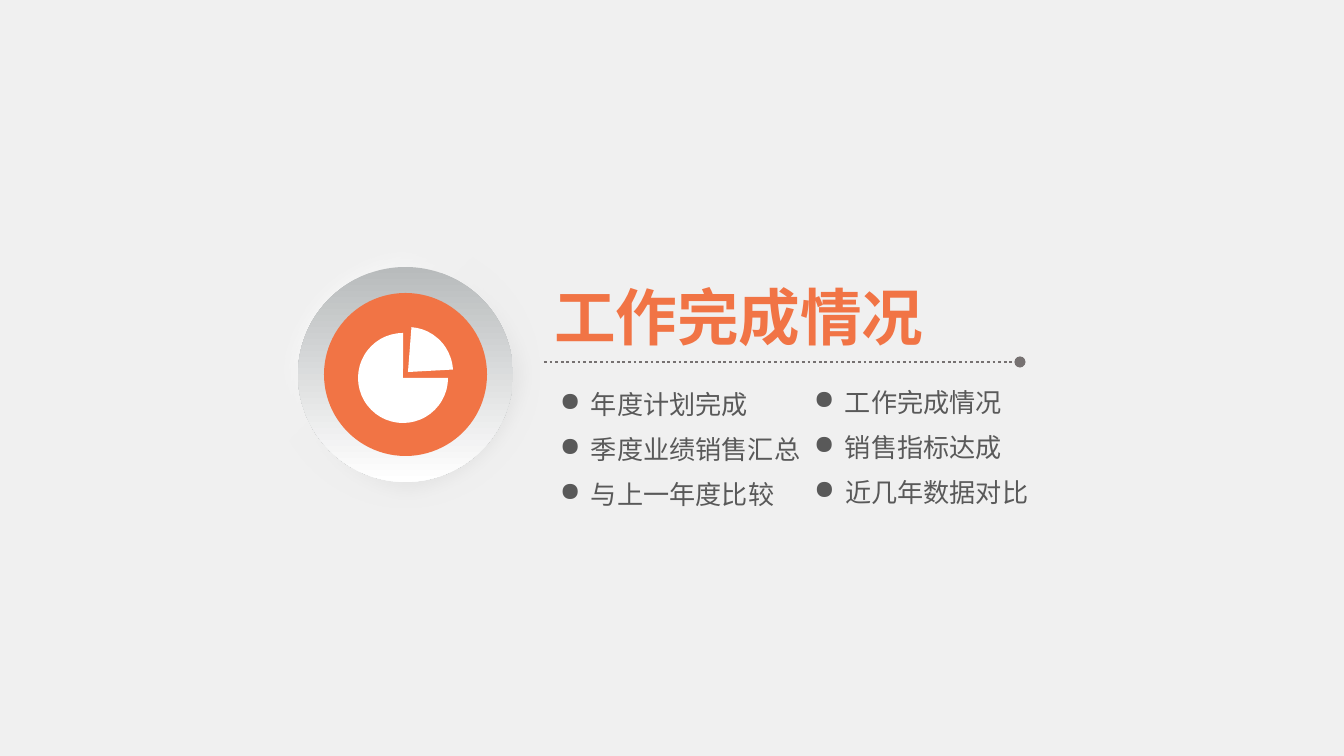
"""Build a section slide with a pie emblem, a title and two columns of bullet points."""
from lxml import etree
from pptx import Presentation
from pptx.dml.color import RGBColor
from pptx.enum.dml import MSO_LINE
from pptx.enum.shapes import MSO_CONNECTOR, MSO_SHAPE
from pptx.enum.text import MSO_ANCHOR, MSO_AUTO_SIZE, PP_ALIGN
from pptx.oxml import parse_xml
from pptx.oxml.ns import nsdecls, qn
from pptx.util import Pt

OVAL, ROUNDED, PIE = MSO_SHAPE.OVAL, MSO_SHAPE.ROUNDED_RECTANGLE, MSO_SHAPE.PIE
STRAIGHT, DOTTED = MSO_CONNECTOR.STRAIGHT, MSO_LINE.ROUND_DOT
TOP, LEFT, GROW = MSO_ANCHOR.TOP, PP_ALIGN.LEFT, MSO_AUTO_SIZE.SHAPE_TO_FIT_TEXT

BACKGROUND = RGBColor(0xF0, 0xF0, 0xF0)
ORANGE = RGBColor(0xF1, 0x74, 0x45)
WHITE = RGBColor(0xFF, 0xFF, 0xFF)
HALO_GRAY = RGBColor(0xD9, 0xD9, 0xD9)
RING_GRAY = RGBColor(0xB8, 0xBB, 0xBC)
RULE_GRAY = RGBColor(0x76, 0x71, 0x71)
TEXT_GRAY = RGBColor(0x59, 0x59, 0x59)
FONT = "Noto Sans CJK SC"

TITLE = "工作完成情况"
TITLE_BOX = (544, 274, 394, 85)
RULE = (544, 362, 1020, 362)
COLUMNS = [
    (550, 383, ["年度计划完成", "季度业绩销售汇总", "与上一年度比较"]),
    (804, 381, ["工作完成情况", "销售指标达成", "近几年数据对比"]),
]
ROW_PITCH, ROW_HEIGHT = 45, 42
CHAR_WIDTH, ROW_EXTRA = 26, 55
EMBLEM_CENTER = (405, 374)
HALO_SIZE, RING_SIZE, DISC_SIZE, PIE_SIZE = 270, 215, 163, 90
PIE_CENTER, WEDGE_CENTER = (403, 378), (408, 372)
EMU_PER_PX = 9144000 / 1344


def px(*lengths):
    return [round(length * EMU_PER_PX) for length in lengths]


def write(frame, text, size, color, bold=False, bullet=False):
    frame.margin_left = frame.margin_right = px(10)[0]
    frame.margin_top = frame.margin_bottom = px(5)[0]
    frame.word_wrap = False
    frame.auto_size = GROW
    frame.vertical_anchor = TOP
    paragraph = frame.paragraphs[0]
    paragraph.alignment = LEFT
    if bullet:
        properties = paragraph._p.get_or_add_pPr()
        indent = px(31)[0]
        properties.set("marL", str(indent))
        properties.set("indent", str(-indent))
        etree.SubElement(properties, qn("a:buChar")).set("char", "●")
    run = paragraph.add_run()
    run.text = text
    run.font.size = Pt(size)
    run.font.bold = bold
    run.font.color.rgb = color
    run.font.name = FONT
    east_asian = etree.SubElement(run._r.get_or_add_rPr(), qn("a:ea"))
    east_asian.set("typeface", FONT)


def add_round(shapes, preset, center, size):
    left, top = (middle - size // 2 for middle in center)
    part = shapes.add_shape(preset, *px(left, top, size, size))
    part.shadow.inherit = False
    part.line.fill.background()
    return part


def fill_solid(part, color):
    part.fill.solid()
    part.fill.fore_color.rgb = color


def fill_gradient(part, start):
    part.fill.gradient()
    part.fill.gradient_angle = 270
    for stop, color in zip(part.fill.gradient_stops, (start, WHITE)):
        stop.color.rgb = color


def add_emblem(slide):
    shapes = slide.shapes.add_group_shape().shapes
    halo = add_round(shapes, OVAL, EMBLEM_CENTER, HALO_SIZE)
    fill_gradient(halo, HALO_GRAY)
    properties = halo._element.spPr
    linear = properties.find(".//" + qn("a:lin"))
    linear.getparent().replace(linear, parse_xml(
        f'<a:path {nsdecls("a")} path="circle"><a:fillToRect l="100000" t="100000"/></a:path>'))
    effects = properties.find(qn("a:effectLst"))
    etree.SubElement(effects, qn("a:softEdge")).set("rad", "127000")

    ring = add_round(shapes, ROUNDED, EMBLEM_CENTER, RING_SIZE)
    ring.adjustments[0] = 0.5
    fill_gradient(ring, RING_GRAY)
    fill_solid(add_round(shapes, OVAL, EMBLEM_CENTER, DISC_SIZE), ORANGE)
    fill_solid(add_round(shapes, PIE, PIE_CENTER, PIE_SIZE), WHITE)
    wedge = add_round(shapes, PIE, WEDGE_CENTER, PIE_SIZE)
    wedge.adjustments[0], wedge.adjustments[1] = 207.2, 40.65
    wedge.rotation = 289.1
    fill_solid(wedge, WHITE)


def add_rule(slide):
    rule = slide.shapes.add_connector(STRAIGHT, *px(*RULE))
    rule.line.color.rgb = RULE_GRAY
    rule.line.width = Pt(1.5)
    rule.line.dash_style = DOTTED
    etree.SubElement(rule.line._get_or_add_ln(), qn("a:tailEnd")).set("type", "oval")
    etree.SubElement(rule._element.spPr, qn("a:effectLst"))


def main():
    deck = Presentation()
    deck.slide_width, deck.slide_height = px(1344, 756)
    slide = deck.slides.add_slide(deck.slide_layouts[5])
    slide.background.fill.solid()
    slide.background.fill.fore_color.rgb = BACKGROUND

    title = slide.shapes.title
    title.left, title.top, title.width, title.height = px(*TITLE_BOX)
    write(title.text_frame, TITLE, 33, ORANGE, bold=True)
    add_rule(slide)
    add_emblem(slide)
    for left, top, points in COLUMNS:
        for row, point in enumerate(points):
            width = CHAR_WIDTH * len(point) + ROW_EXTRA
            box = slide.shapes.add_textbox(*px(left, top + row * ROW_PITCH, width, ROW_HEIGHT))
            write(box.text_frame, point, 14, TEXT_GRAY, bullet=True)
    deck.save("out.pptx")


if __name__ == "__main__":
    main()
